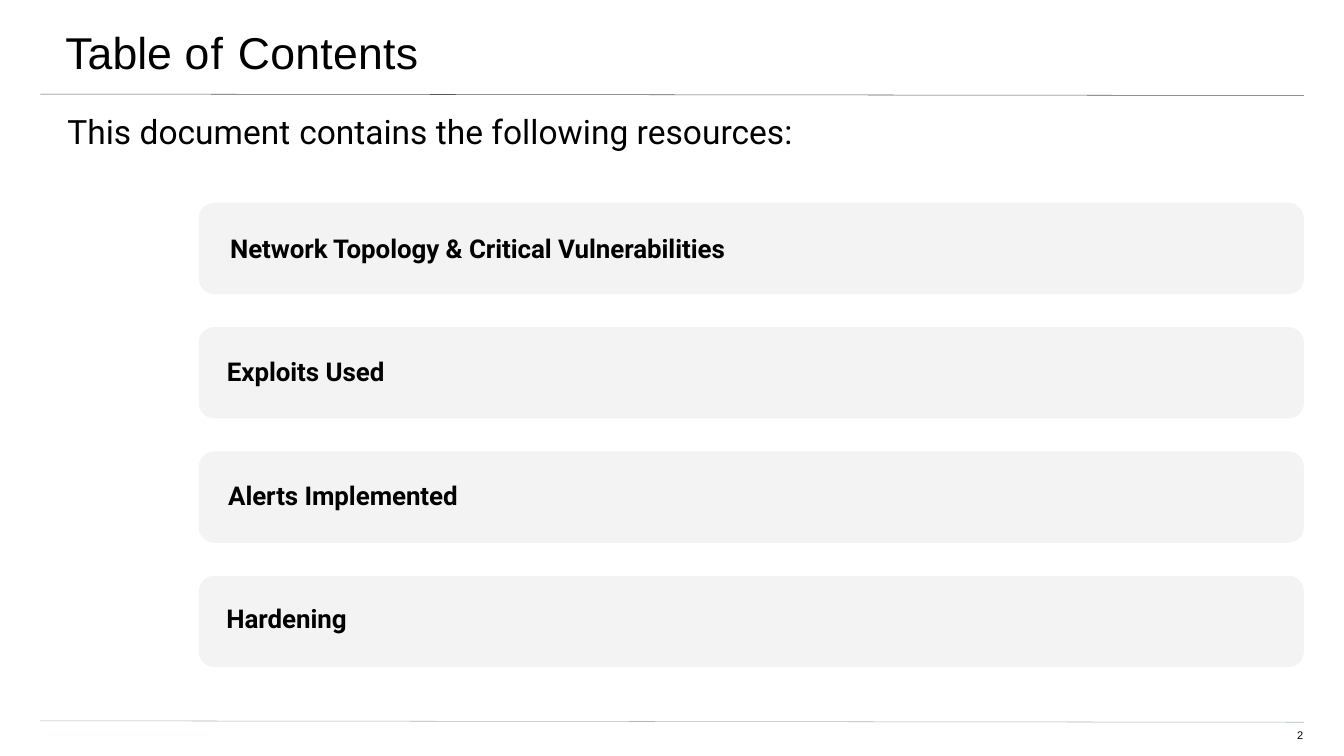
from pptx import Presentation
from pptx.dml.color import RGBColor
from pptx.enum.shapes import MSO_CONNECTOR as Link, MSO_SHAPE as Shape
from pptx.enum.text import MSO_ANCHOR as Anchor, MSO_AUTO_SIZE as Fit, PP_ALIGN as Align
from pptx.oxml.ns import qn
from pptx.util import Cm, Pt
from lxml import etree

BLACK = RGBColor(0x00, 0x00, 0x00)
PALE = RGBColor(0xF3, 0xF3, 0xF3)
GREY = RGBColor(0x58, 0x58, 0x58)
BLUE = RGBColor(0xA9, 0xB7, 0xC0)


def write(box, runs, size, font="Roboto", bold=False, left=0.03, line=None):
    """Fill a box with runs, each a pair of text and letter spacing in points."""
    frame = box.text_frame
    frame.word_wrap = True
    frame.auto_size = Fit.NONE
    frame.vertical_anchor = Anchor.TOP
    frame.margin_left = Cm(left)
    frame.margin_top = Cm(0 if line else 0.03)
    frame.margin_right = frame.margin_bottom = 0
    para = frame.paragraphs[0]
    para.alignment = Align.LEFT
    para.space_before = Pt(0)
    para.line_spacing = line or 1.0
    for text, gap in runs:
        run = para.add_run()
        run.text = text
        run.font.size = Pt(size)
        run.font.name = font
        run.font.bold = bold
        run.font.color.rgb = BLACK
        run.font._element.set("spc", str(round(gap * 100)))


# The page is 1583 by 891 points
deck = Presentation()
deck.slide_width, deck.slide_height = [Cm(side * 2.54 / 72) for side in (1583, 891)]
slide = deck.slides.add_slide(deck.slide_layouts[5])
shapes = slide.shapes

# Title
title = shapes.title
title.left, title.top, title.width, title.height = Cm(2.69), Cm(0.99), Cm(14.91), Cm(2.31)
write(title, [("Table ", 0.05), ("of ", 1.5), ("Contents", 0.4)], 52.5, "Arial")

# Rules under the title and above the footer
for top, color in [(3.91, GREY), (29.97, BLUE)]:
    rule = shapes.add_connector(Link.STRAIGHT, Cm(1.68), Cm(top), Cm(54.18), Cm(top + 0.06))
    rule.line.color.rgb = color
    rule.line.width = Pt(0.62)
    etree.SubElement(rule._element.spPr, qn("a:effectLst"))

# Lead sentence
lead = shapes.add_textbox(Cm(2.77), Cm(4.57), Cm(30.28), Cm(1.75))
write(lead, [("This document ", 0.05), ("contains the ", 0), ("following resources:", 0.05)], 39.5)

# Contents: one bar and one label per entry
items = [
    ("Network Topology & Critical Vulnerabilities", 9.53, 9.65, 20.88),
    ("Exploits Used", 9.4, 14.76, 6.65),
    ("Alerts Implemented", 9.45, 19.91, 9.6),
    ("Hardening", 9.38, 25.04, 5.08),
]
for i, (text, left, top, width) in enumerate(items):
    bar = shapes.add_shape(Shape.ROUNDED_RECTANGLE, Cm(8.26), Cm(8.43 + 5.17 * i), Cm(45.92), Cm(3.8))
    bar.adjustments[0] = 0.17
    bar.shadow.inherit = False
    bar.fill.solid()
    bar.fill.fore_color.rgb = PALE
    bar.line.fill.background()
    label = shapes.add_textbox(Cm(left), Cm(top), Cm(width), Cm(1.37))
    write(label, [(text, -0.05)], 30.5, bold=True)

# Page number
page = shapes.add_textbox(Cm(53.8), Cm(30.28), Cm(0.48), Cm(0.58))
write(page, [("2", 0.1)], 13, "Arial", left=0.1, line=Pt(15.5))

deck.save("out.pptx")
